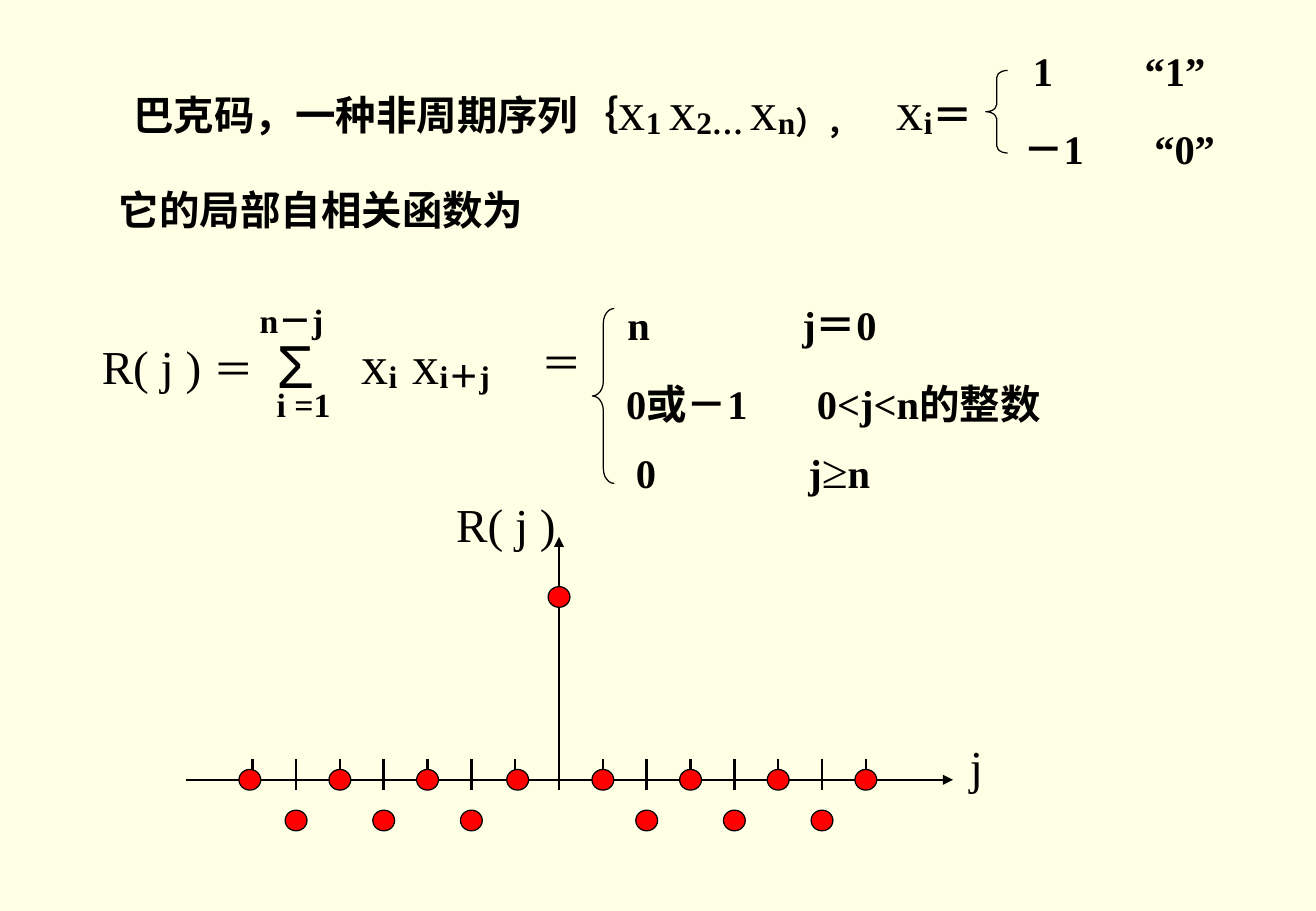
from lxml.etree import SubElement
from pptx import Presentation
from pptx.dml.color import RGBColor
from pptx.enum.shapes import MSO_CONNECTOR, MSO_SHAPE
from pptx.enum.text import MSO_AUTO_SIZE
from pptx.oxml.ns import qn
from pptx.util import Inches, Pt

BLACK = RGBColor(0x00, 0x00, 0x00)
RED = RGBColor(0xFF, 0x00, 0x00)
CREAM = RGBColor(0xFF, 0xFF, 0xE5)
CELL = 0.1  # inches per grid column and row
SLACK = 1.5  # spare columns that keep each text on one line


def grid(count):
    return Inches(count * CELL)


class Board:
    """Style and current slide; lengths are grid columns and rows."""

    def __init__(self, slide):
        self.slide = slide
        self.font = "Times New Roman"
        fill = slide.background.fill
        fill.solid()
        fill.fore_color.rgb = CREAM

    def text(self, col, row, wide, high, runs, tab=None, font=None):
        """Each run is (words, size, bold, sub)."""
        box = self.slide.shapes.add_textbox(
            *map(grid, (col, row, wide + SLACK, high)))
        frame = box.text_frame
        frame.word_wrap = True
        frame.auto_size = MSO_AUTO_SIZE.SHAPE_TO_FIT_TEXT
        para = frame.paragraphs[0]
        if tab:
            stops = SubElement(para._p.get_or_add_pPr(), qn("a:tabLst"))
            SubElement(stops, qn("a:tab"), pos=str(grid(tab)), algn="l")
        for words, size, bold, sub in runs:
            run = para.add_run()
            run.text = words
            run.font.name = font or self.font
            run.font.size = Pt(size)
            run.font.bold = bold
            run.font.color.rgb = BLACK
            if sub:
                run._r.get_or_add_rPr().set("baseline", "-8000")

    def line(self, start, end, arrow=False):
        link = self.slide.shapes.add_connector(
            MSO_CONNECTOR.STRAIGHT, *map(grid, start + end))
        link.line.color.rgb = BLACK
        link.line.width = Pt(1.5)
        props = link._element.spPr
        if arrow:
            SubElement(props.find(qn("a:ln")), qn("a:tailEnd"), type="triangle")
        SubElement(props, qn("a:effectLst"))

    def shape(self, kind, col, row, wide, high, fill=None):
        item = self.slide.shapes.add_shape(kind, *map(grid, (col, row, wide, high)))
        item.shadow.inherit = False
        item.line.color.rgb = BLACK
        item.line.width = Pt(0.75)
        if fill is None:
            item.fill.background()
        else:
            item.fill.solid()
            item.fill.fore_color.rgb = fill
        return item

    def brace(self, col, row, wide, high, curve):
        item = self.shape(MSO_SHAPE.LEFT_BRACE, col, row, wide, high)
        item.adjustments[0] = curve
        item.adjustments[1] = 0.5

    def dot(self, col, row):
        wide, high = 1.8, 1.7
        self.shape(MSO_SHAPE.OVAL, col - wide / 2, row - high / 2, wide, high, RED)


def bold(words, size=24):
    return words, size, True, False


def plain(words, size=32):
    return words, size, False, False


def sub(words):
    return words, 32, True, True


def define(board):
    # Sequence and its values
    board.text(10, 5.8, 63.5, 6.4, [
        bold("巴克码，一种非周期序列｛"), plain("x"), sub("1 "), plain("x"),
        sub("2… "), plain("x"), sub("n），")])
    board.text(72.9, 5.8, 9.3, 6.4, [plain("x"), sub("i"), bold("＝")])
    board.brace(81.2, 5.8, 1.8, 6.8, 0.33)
    board.text(84.1, 3.3, 16.1, 5, [bold("1\t“1”")], tab=9.2)
    board.text(83.3, 9.7, 17.8, 5, [bold("－1\t“0”")], tab=10.8)
    board.text(8.8, 14.7, 35.3, 5, [bold("它的局部自相关函数为")])


def formula(board):
    # Sum
    board.text(21.8, 26.5, 4.9, 7, [plain("Σ", 36)], font="Arial")
    board.text(21.8, 31.1, 6.4, 4.4, [bold("i =1", 20)])
    board.text(20.4, 24.2, 8.6, 4.4, [bold("n－j", 20)])
    board.text(28.8, 26.7, 14.7, 6.4, [
        plain("x"), sub("i\t"), plain("x"), sub("i＋j")], tab=4.2)
    board.text(7.4, 27.3, 15.4, 5.7, [plain("R( j ) ", 28), plain("＝", 24)])
    board.text(43.6, 27.3, 5.3, 5, [plain("＝", 24)])
    # Cases
    board.text(50.7, 24.2, 24, 5, [bold("n\tj＝0")], tab=14.4)
    board.text(50.6, 30.7, 40, 5, [bold("0或－1\t0<j<n的整数")], tab=15.7)
    board.brace(48.8, 25.4, 1.8, 14.4, 0.67)
    board.text(51.4, 35.8, 21.2, 5.7, [
        bold("0\tj"), plain("≥", 28), bold("n")], tab=14.2)


def plot(board):
    zero, base, step, reach = 46.05, 64.2, 3.61, 7
    nudge = {-7: -0.2, -1: 0.2}
    lags = range(-reach, reach + 1)
    # Axes and ticks
    board.line((15.3, base), (78.5, base), arrow=True)
    for lag in lags:
        col = zero + lag * step
        board.line((col, 62.5), (col, 65))
    board.line((zero, base), (zero, 44.2), arrow=True)
    # Peak at zero, then -1 at even lags and 0 at odd lags
    for lag in lags:
        row = 49.15 if lag == 0 else base if lag % 2 else 67.55
        board.dot(zero + lag * step + nudge.get(lag, 0), row)
    # Axis names
    board.text(36.6, 40.3, 10.2, 5.7, [plain("R( j )", 28)])
    board.text(78.9, 60.2, 3.1, 5.7, [plain("j", 28)])


def main():
    deck = Presentation()
    deck.slide_width, deck.slide_height = Inches(10.84), Inches(7.5)
    board = Board(deck.slides.add_slide(deck.slide_layouts[6]))
    define(board)
    formula(board)
    plot(board)
    deck.save("out.pptx")


if __name__ == "__main__":
    main()
